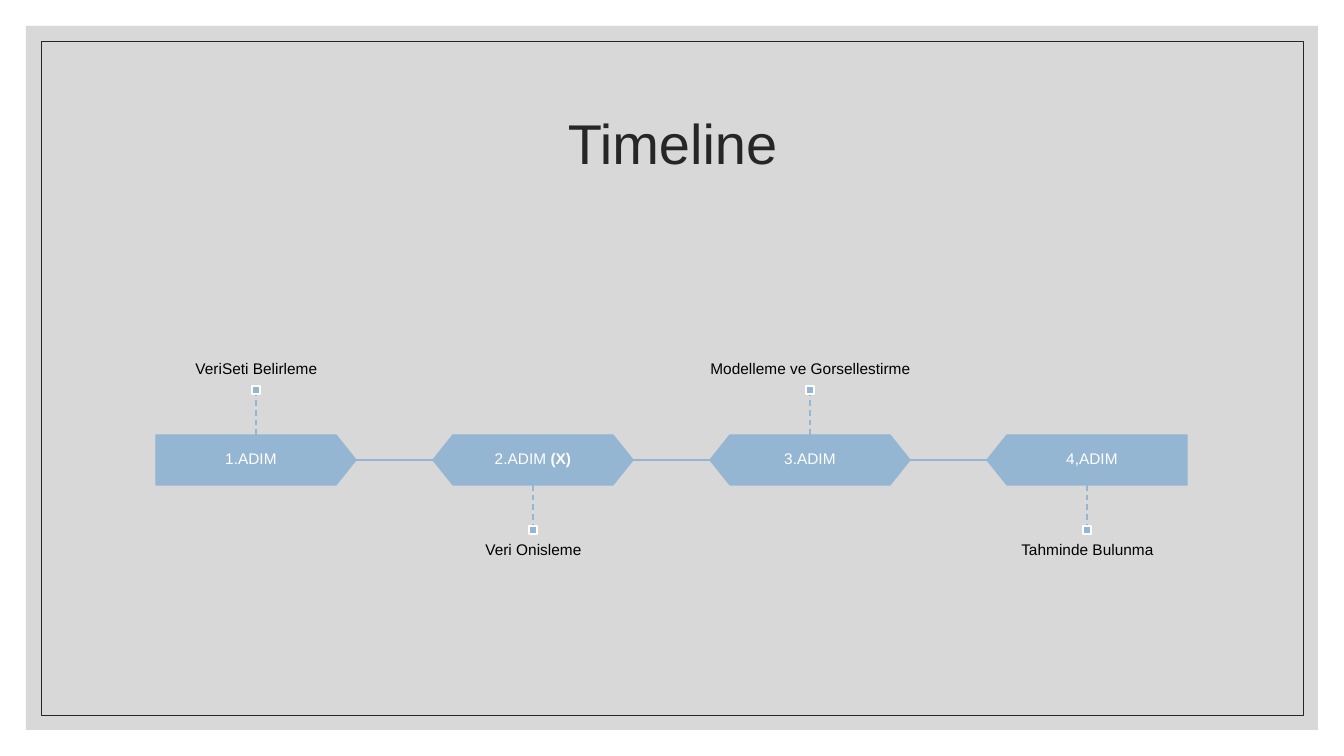
from lxml.etree import SubElement
from pptx import Presentation
from pptx.dml.color import RGBColor
from pptx.enum.dml import MSO_LINE
from pptx.enum.shapes import MSO_CONNECTOR, MSO_SHAPE
from pptx.enum.text import MSO_ANCHOR, PP_ALIGN
from pptx.oxml.ns import qn
from pptx.util import Pt

COLORS = {"panel": "BFBFBF", "ink": "262626", "step": "94B6D2",
          "light": "FFFFFF", "label": "000000"}
EMU_PER_PX = 914400 / 100.8
SLIDE_SIZE = (1344, 756)
STEP_SIZE = (200, 50)
STEM, MARKER = 41, 8
LABEL_HEIGHT = 131

# (shape, rotation, horizontal shift of the text, step text, label)
STEPS = [
    (MSO_SHAPE.PENTAGON, 0, -5, [("1.ADIM", False)], "VeriSeti Belirleme"),
    (MSO_SHAPE.HEXAGON, 0, 0, [("2.ADIM ", False), ("(X)", True)], "Veri Onisleme"),
    (MSO_SHAPE.HEXAGON, 0, 0, [("3.ADIM", False)], "Modelleme ve Gorsellestirme"),
    (MSO_SHAPE.PENTAGON, 180, 5, [("4,ADIM", False)], "Tahminde Bulunma"),
]


def px(*lengths):
    return [round(length * EMU_PER_PX) for length in lengths]


def color(name):
    return RGBColor.from_string(COLORS[name])


def set_attributes(target, values):
    for name, value in values.items():
        setattr(target, name, value)


def add_block(slide, kind, box, fill, line, line_width):
    shape = slide.shapes.add_shape(kind, *px(*box))
    shape.shadow.inherit = False
    if fill:
        shape.fill.solid()
        shape.fill.fore_color.rgb = color(fill)
    else:
        shape.fill.background()
    if line:
        shape.line.color.rgb = color(line)
        shape.line.width = Pt(line_width)
    else:
        shape.line.fill.background()
    return shape


def add_line(slide, start, end, dash=None):
    connector = slide.shapes.add_connector(MSO_CONNECTOR.STRAIGHT, *px(*start, *end))
    set_attributes(connector.line, {"width": Pt(1), "dash_style": dash})
    connector.line.color.rgb = color("step")
    SubElement(connector._element.spPr, qn("a:effectLst"))


def write_text(shape, runs, size, ink, anchor, margins):
    frame = shape.text_frame
    side, vertical = px(*margins)
    set_attributes(frame, {"word_wrap": True, "vertical_anchor": anchor,
                           "margin_left": side, "margin_right": side,
                           "margin_top": vertical, "margin_bottom": vertical})
    paragraph = frame.paragraphs[0]
    set_attributes(paragraph, {"alignment": PP_ALIGN.CENTER, "line_spacing": 0.9})
    for text, bold in runs:
        run = paragraph.add_run()
        run.text = text
        set_attributes(run.font, {"name": "Arial", "size": Pt(size), "bold": bold})
        run.font.color.rgb = color(ink)


def add_frame(slide, box):
    """Grey panel with a thin inner border."""
    left, top, width, height = box
    panel = add_block(slide, MSO_SHAPE.RECTANGLE, box, "panel", None, 0)
    rgb = panel._element.spPr.find(qn("a:solidFill"))[0]
    SubElement(rgb, qn("a:alpha"), val="60000")
    inner = (left + 15, top + 15, width - 30, height - 30)
    add_block(slide, MSO_SHAPE.RECTANGLE, inner, None, "ink", 0.5)


def add_title(slide, box, text):
    title = slide.shapes.title
    left, top, width, height = px(*box)
    set_attributes(title, {"left": left, "top": top, "width": width, "height": height})
    write_text(title, [(text, False)], 40, "ink", MSO_ANCHOR.MIDDLE, (10, 5))
    slide.shapes._spTree.append(title._element)  # in front of the panel


def add_step(slide, box, step, above):
    """One step in its column, with stem, marker and label above or below."""
    left, top, column_width, height = box
    kind, rotation, shift, runs, label = step
    width = STEP_SIZE[0]
    body_left = left + (column_width - width) // 2
    center = body_left + width // 2

    # Step body and its text
    body = add_block(slide, kind, (body_left, top, width, height), "step", "step", 1)
    body.adjustments[0] = 0.4
    body.rotation = rotation
    text_box = slide.shapes.add_textbox(*px(body_left + shift, top, width, height))
    write_text(text_box, runs, 11, "light", MSO_ANCHOR.MIDDLE, (9, 9))

    # Stem, marker and label
    if above:
        edge, stem_end = top, top - STEM
        marker_top = stem_end - MARKER
        label_top, anchor = marker_top - LABEL_HEIGHT, MSO_ANCHOR.BOTTOM
    else:
        edge, stem_end = top + height, top + height + STEM
        marker_top = stem_end
        label_top, anchor = marker_top + MARKER, MSO_ANCHOR.TOP
    add_line(slide, (center, edge), (center, stem_end), MSO_LINE.DASH)
    marker = (center - MARKER // 2, marker_top, MARKER, MARKER)
    add_block(slide, MSO_SHAPE.RECTANGLE, marker, "step", "light", 1.5)
    label_box = slide.shapes.add_textbox(*px(left, label_top, column_width, LABEL_HEIGHT))
    write_text(label_box, [(label, False)], 11, "label", anchor, (0, 11))


def add_timeline(slide, box):
    left, top, width, height = box
    column_width = width // len(STEPS)
    gap = column_width - STEP_SIZE[0]
    middle = top + height // 2
    for index, step in enumerate(STEPS):
        column_left = left + index * column_width
        if index:
            start = column_left - gap // 2 - 1
            add_line(slide, (start, middle), (start + gap, middle))
        add_step(slide, (column_left, top, column_width, height), step, index % 2 == 0)


def main():
    presentation = Presentation()
    presentation.slide_width, presentation.slide_height = px(*SLIDE_SIZE)
    slide = presentation.slides.add_slide(presentation.slide_layouts[5])
    add_frame(slide, (26, 26, 1292, 704))
    add_title(slide, (118, 71, 1109, 151), "Timeline")
    add_timeline(slide, (118, 435, 1108, STEP_SIZE[1]))
    presentation.save("out.pptx")


if __name__ == "__main__":
    main()
